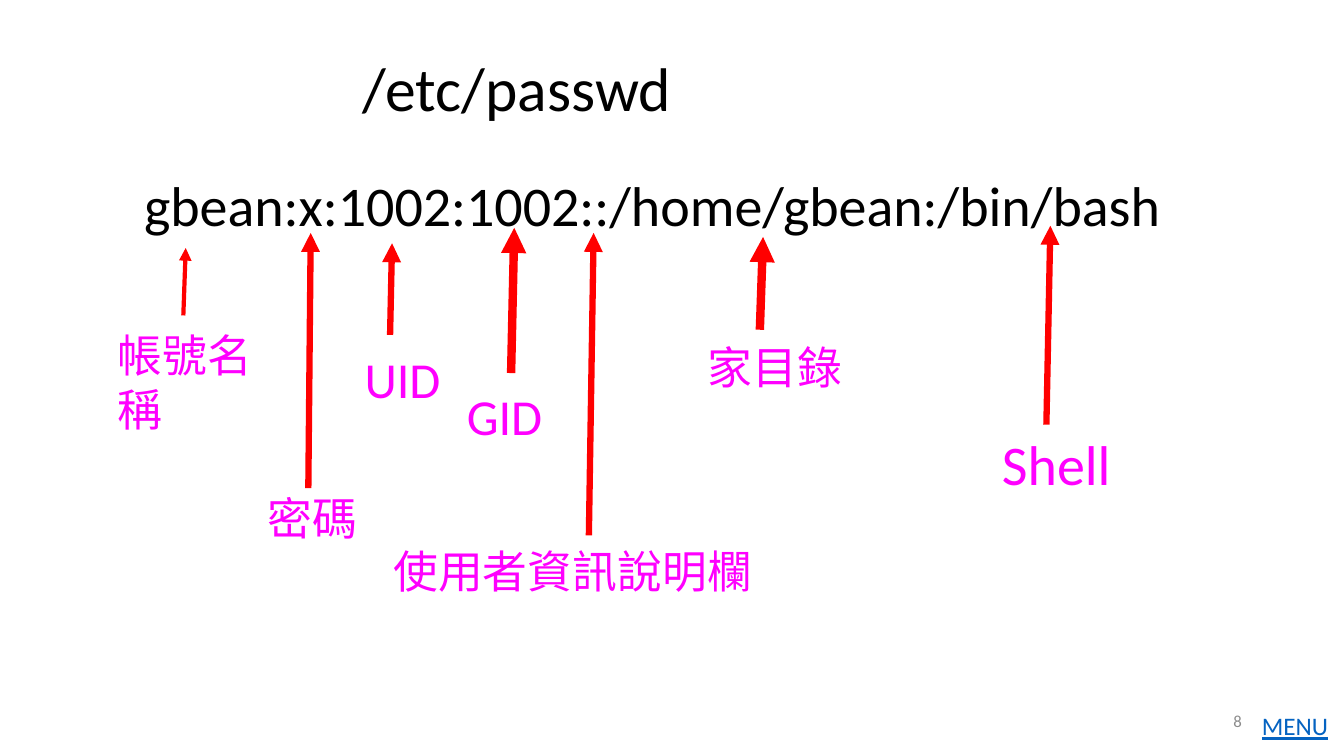
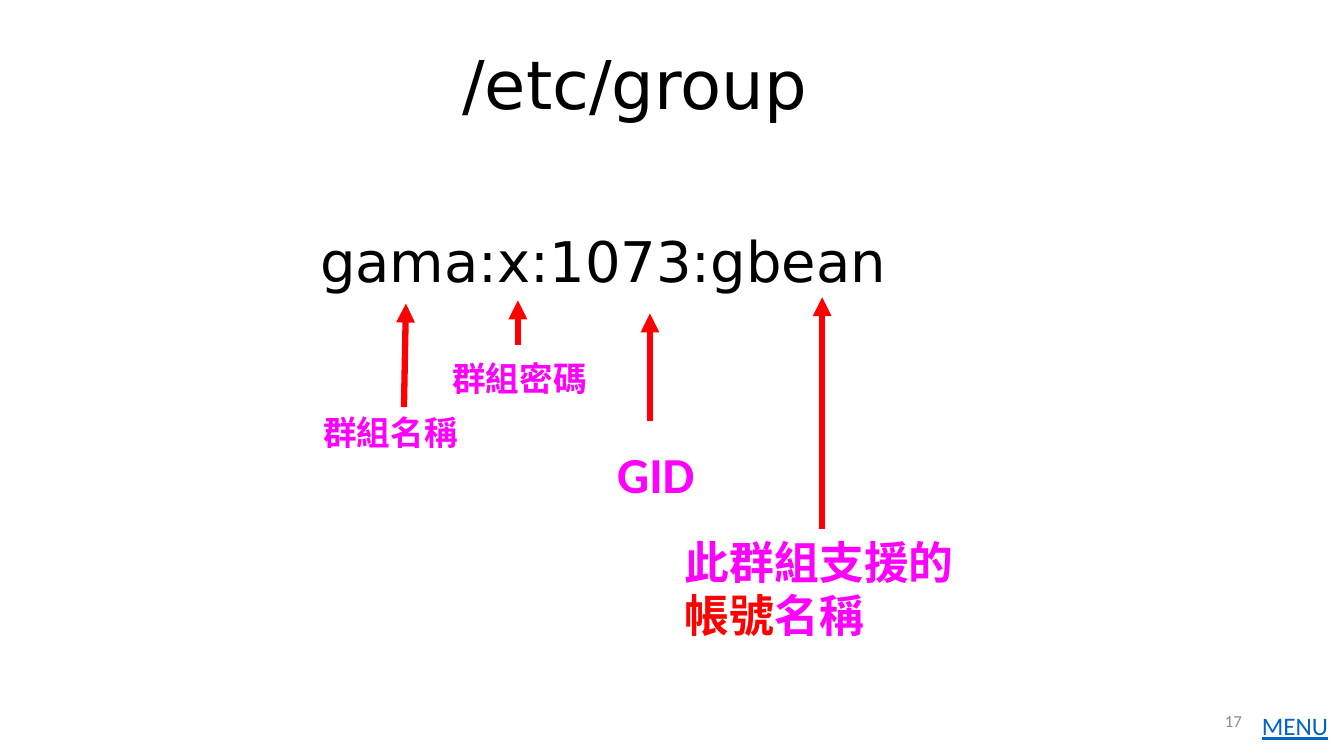
from dataclasses import dataclass

from lxml.etree import SubElement
from pptx import Presentation
from pptx.dml.color import RGBColor
from pptx.enum.shapes import MSO_CONNECTOR
from pptx.enum.text import MSO_ANCHOR, PP_ALIGN
from pptx.oxml.ns import qn
from pptx.util import Cm, Pt

BLACK = RGBColor(0x00, 0x00, 0x00)
RED = RGBColor(0xFF, 0x00, 0x00)
MAGENTA = RGBColor(0xFF, 0x00, 0xFF)
GREY = RGBColor(0x8C, 0x8C, 0x8C)
LINK_BLUE = RGBColor(0x05, 0x63, 0xC1)
BODY_FONT = "Calibri"
WIDE_FONT = "DejaVu Sans"
LEFT, CENTER, RIGHT = PP_ALIGN.LEFT, PP_ALIGN.CENTER, PP_ALIGN.RIGHT


@dataclass
class Field:
    """A label and its arrow, in cm from the corner of the diagram."""
    text: object
    label: tuple  # left, top, width
    tail: tuple
    tip: tuple
    size: int = 32
    weight: float = 4.5
    align: PP_ALIGN = LEFT
    lines: int = 1


def text_height(size, lines=1):
    return 0.25 + lines * size * 0.043


def add_text(page, box, text, size=32, color=BLACK, font=BODY_FONT, bold=False,
             underline=False, align=LEFT, anchor=MSO_ANCHOR.TOP, wrap=True):
    """Text is a string, or a list of (string, colour) pairs."""
    frame = page.shapes.add_textbox(*map(Cm, box)).text_frame
    frame.word_wrap = wrap
    frame.vertical_anchor = anchor
    para = frame.paragraphs[0]
    para.alignment = align
    for part, part_color in [(text, color)] if isinstance(text, str) else text:
        span = para.add_run()
        span.text = part
        span.font.name = font
        span.font.size = Pt(size)
        span.font.bold = bold
        span.font.underline = underline
        span.font.color.rgb = part_color


def add_arrow(page, start, end, weight):
    arrow = page.shapes.add_connector(MSO_CONNECTOR.STRAIGHT, *map(Cm, start + end))
    arrow.line.color.rgb = RED
    arrow.line.width = Pt(weight)
    SubElement(arrow.line._get_or_add_ln(), qn("a:tailEnd"), type="triangle")
    SubElement(arrow._element.spPr, qn("a:effectLst"))


def add_footer(page, number):
    add_text(page, (31.55, 17.78, 2.3, 1.02), "MENU", size=18, color=LINK_BLUE,
             underline=True, wrap=False)
    add_text(page, (23.93, 17.65, 7.62, 1.02), str(number), size=12, color=GREY,
             align=RIGHT, anchor=MSO_ANCHOR.MIDDLE)


def add_diagram(page, corner, record, record_left, record_width, fields,
                font=BODY_FONT, bold=False):
    """A file entry with an arrow and a label for each of its fields."""
    left, top = corner

    def place(point):
        return left + point[0], top + point[1]

    for field in fields:
        add_arrow(page, place(field.tail), place(field.tip), field.weight)
        box = (*place(field.label), field.label[2],
               text_height(field.size, field.lines))
        add_text(page, box, field.text, size=field.size, color=MAGENTA,
                 bold=bold, align=field.align)
    add_text(page, (left + record_left, top, record_width, text_height(40)),
             record, size=40, font=font, wrap=False)


def add_page(deck, title, title_box, title_size, number, font=BODY_FONT):
    page = deck.slides.add_slide(deck.slide_layouts[6])
    add_footer(page, number)
    add_text(page, title_box, title, size=title_size, font=font)
    return page


def add_passwd_page(deck):
    page = add_page(deck, "/etc/passwd", (8.89, 1.14, 11.91, 2.13), 44, 8)
    fields = [
        Field("帳號名稱", (0, 3.96, 4.67), (1.9, 3.78), (1.96, 2.08),
              weight=3, lines=2),
        Field("密碼", (3.78, 8.08, 3.18), (5.05, 8.13), (5.11, 1.7)),
        Field("UID", (6.17, 4.47, 2.51), (7.11, 4.27), (7.16, 1.96),
              size=36, align=CENTER),
        Field("GID", (8.51, 5.41, 2.97), (10.16, 5.23), (10.24, 1.57),
              size=36, weight=6, align=CENTER),
        Field("使用者資訊說明欄", (6.76, 9.4, 9.91), (12.12, 9.32), (12.24, 1.7),
              align=CENTER),
        Field("家目錄", (14.86, 4.27, 4.01), (16.43, 4.14), (16.51, 1.8), weight=6),
        Field("Shell", (22.28, 6.53, 3.4), (23.65, 6.53), (23.75, 1.52), size=40),
    ]
    add_diagram(page, (2.72, 4.17), "gbean:x:1002:1002::/home/gbean:/bin/bash",
                0.66, 26.42, fields)


def add_group_page(deck):
    page = add_page(deck, "/etc/group", (11.4, 0.94, 11.02, 2.31), 48, 17,
                    font=WIDE_FONT)
    members = [("此群組支援的", MAGENTA), ("帳號", RED), ("名稱", MAGENTA)]
    fields = [
        Field("群組名稱", (0.08, 4.67, 4.55), (2.36, 4.67), (2.41, 2.06), size=24),
        Field("群組密碼", (3.33, 3.3, 5.26), (5.23, 3.1), (5.23, 1.98), size=24),
        Field("GID", (7.01, 5.44, 3.4), (8.56, 5.03), (8.56, 2.31),
              size=36, align=CENTER),
        Field(members, (9.19, 7.75, 7.44), (12.9, 7.75), (12.9, 1.9), lines=2),
    ]
    add_diagram(page, (7.82, 5.59), "gama:x:1073:gbean", 0, 17.15, fields,
                font=WIDE_FONT, bold=True)


def main():
    deck = Presentation()
    deck.slide_width, deck.slide_height = Cm(33.87), Cm(19.05)
    add_passwd_page(deck)
    add_group_page(deck)
    deck.save("out.pptx")


if __name__ == "__main__":
    main()
